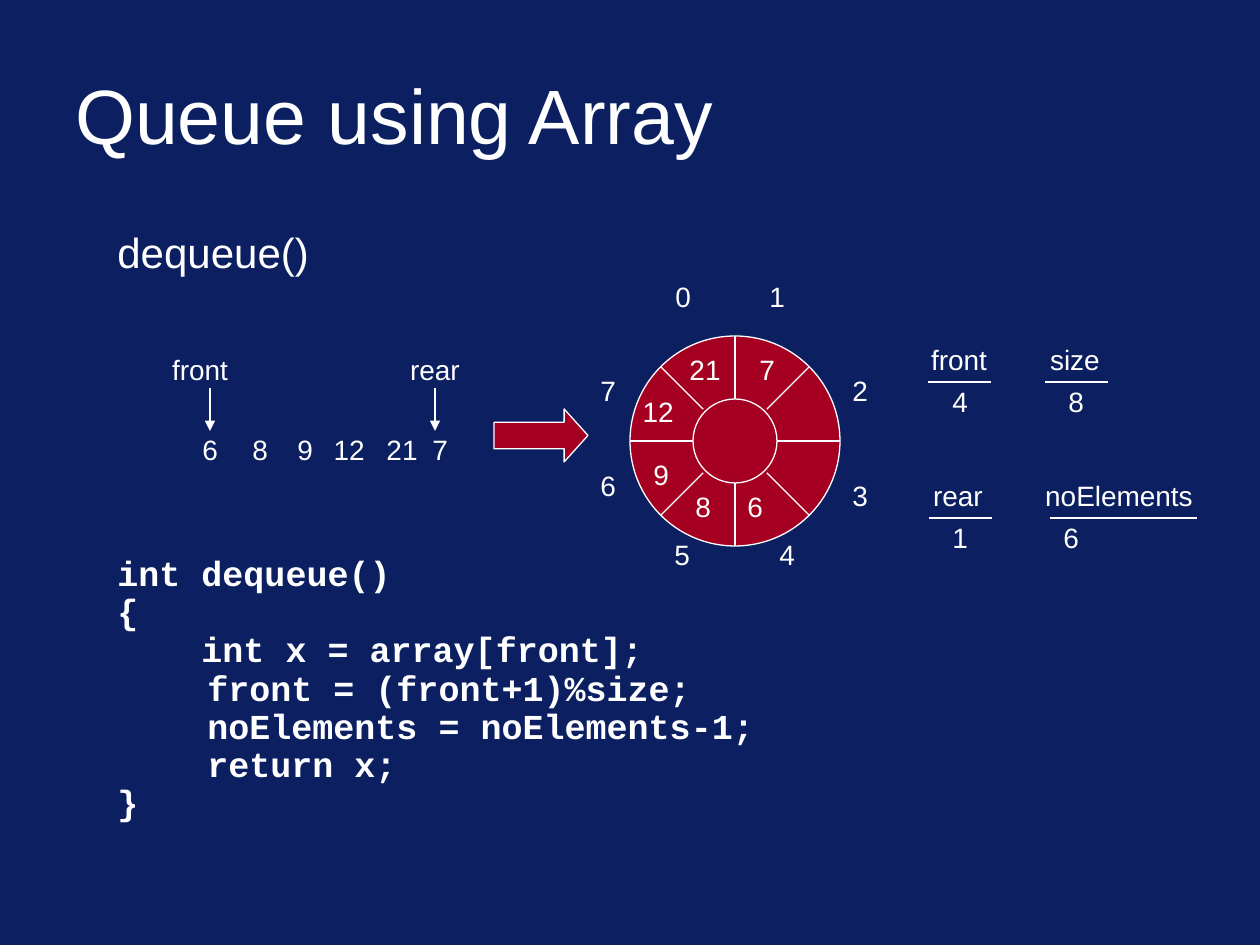
from dataclasses import dataclass
from math import cos, pi, sin

from pptx import Presentation
from pptx.dml.color import RGBColor as RGB
from pptx.enum.shapes import MSO_CONNECTOR as Conn, MSO_SHAPE as Shape
from pptx.enum.text import MSO_ANCHOR as Anchor, MSO_AUTO_SIZE as Auto, PP_ALIGN as Align
from pptx.oxml.ns import qn
from pptx.util import Emu, Inches, Pt
from lxml.etree import SubElement as Sub


@dataclass(frozen=True)
class Theme:
    back: RGB = RGB(0x0B, 0x1F, 0x61)
    ink: RGB = RGB(0xFF, 0xFF, 0xFF)
    fill: RGB = RGB(0xA5, 0x00, 0x21)
    sans: str = "Arial"
    mono: str = "Courier New"
    title: int = 44
    head: int = 24
    code: int = 20
    label: int = 16
    line: float = 0.75


T = Theme()

CODE = """int dequeue()
{
    int x = array[front];
\t  front = (front+1)%size;
\t  noElements = noElements-1;
\t  return x;
}"""

# Each label: text, middle x, top y
QUEUE = [("6", 210), ("8", 260), ("9", 305), ("12", 349), ("21", 402), ("7", 440)]
SLOTS = [("0", 683, 273), ("1", 777, 273), ("2", 860, 367), ("3", 860, 472),
         ("4", 787, 531), ("5", 682, 531), ("6", 608, 462), ("7", 608, 367)]
ITEMS = [("21", 705, 346), ("7", 767, 346), ("12", 658, 388),
         ("9", 661, 451), ("8", 703, 483), ("6", 755, 483)]
# Each variable: name, value, name middle, value middle, top, rule left, rule right
VARS = [("front", "4", 959, 960, 336, 928, 991),
        ("size", "8", 1075, 1076, 336, 1045, 1108),
        ("rear", "1", 958, 960, 472, 929, 992),
        ("noElements", "6", 1119, 1071, 472, 1050, 1197)]
WIDTHS = {"front": 84, "rear": 78, "size": 78, "noElements": 178}


def px(n):
    return Emu(round(n * 914400 / 126))


def style(para, size, face=T.sans, bold=False):
    for run in para.runs:
        font = run.font
        font.size, font.name, font.bold = Pt(size), face, bold
        font.color.rgb = T.ink


def text(slide, words, x, y, w, h, size, wrap=False):
    box = slide.shapes.add_textbox(px(x), px(y), px(w), px(h))
    frame = box.text_frame
    frame.word_wrap = wrap
    frame.auto_size = Auto.NONE if wrap else Auto.SHAPE_TO_FIT_TEXT
    frame.text = words
    style(frame.paragraphs[0], size)
    return frame


def label(slide, words, mid, top):
    wide = WIDTHS.get(words, 24 + 16 * len(words))
    frame = text(slide, words, mid - wide / 2, top, wide, 46, T.label)
    frame.paragraphs[0].alignment = Align.CENTER


def code(slide, words, x, y, w, h):
    frame = text(slide, words, x, y, w, h, T.code, True)
    for i, para in enumerate(frame.paragraphs):
        para.line_spacing = 0.7
        para.space_before = Pt(5 if i else 0)
        props = para._p.get_or_add_pPr()
        props.set("marL", str(Inches(0.38)))
        props.set("indent", str(-Inches(0.38)))
        tabs = Sub(props, qn("a:tabLst"))
        for stop in range(8):
            Sub(tabs, qn("a:tab"), pos=str(Inches(stop)), algn="l")
        style(para, T.code, T.mono, True)


def solid(slide, kind, x, y, w, h):
    shape = slide.shapes.add_shape(kind, px(x), px(y), px(w), px(h))
    shape.shadow.inherit = False
    shape.fill.solid()
    shape.fill.fore_color.rgb = T.fill
    shape.line.color.rgb = T.ink
    shape.line.width = Pt(T.line)
    return shape


def line(slide, x1, y1, x2, y2, arrow=False):
    link = slide.shapes.add_connector(Conn.STRAIGHT, px(x1), px(y1), px(x2), px(y2))
    link.line.color.rgb = T.ink
    link.line.width = Pt(T.line)
    if arrow:
        Sub(link.line._get_or_add_ln(), qn("a:tailEnd"), type="triangle")
    Sub(link._element.spPr, qn("a:effectLst"))


def ring(slide, x, y, outer, inner):
    for r in (outer, inner):
        solid(slide, Shape.OVAL, x - r, y - r, 2 * r, 2 * r)
    for i in range(8):
        dx, dy = cos(i * pi / 4), sin(i * pi / 4)
        near = inner + 3 * (i % 2)  # diagonals stop just short of the hub
        line(slide, x + near * dx, y + near * dy, x + outer * dx, y + outer * dy)


def main():
    deck = Presentation()
    deck.slide_width, deck.slide_height = px(1260), px(945)
    slide = deck.slides.add_slide(deck.slide_layouts[6])
    back = slide.background.fill
    back.solid()
    back.fore_color.rgb = T.back

    # Headings and code
    title = text(slide, "Queue using Array", 63, 51, 1134, 126, T.title, True)
    title.vertical_anchor = Anchor.MIDDLE
    text(slide, "dequeue()", 105, 220, 218, 63, T.head)
    code(slide, CODE, 105, 557, 756, 325)

    # Queue in order, with its two ends
    for words, mid, tip in (("front", 200, 210), ("rear", 435, 435)):
        label(slide, words, mid, 346)
        line(slide, tip, 388, tip, 431, True)
    for words, mid in QUEUE:
        label(slide, words, mid, 426)
    arrow = solid(slide, Shape.RIGHT_ARROW, 494, 409, 94, 53)
    arrow.adjustments[0], arrow.adjustments[1] = 0.5, 0.45

    # Circular array
    ring(slide, 735, 441, 105, 42)
    for words, mid, top in SLOTS + ITEMS:
        label(slide, words, mid, top)

    # Variables
    for name, value, mid, low, top, left, right in VARS:
        label(slide, name, mid, top)
        line(slide, left, top + 46, right, top + 46)
        label(slide, value, low, top + 42)

    deck.save("out.pptx")


if __name__ == "__main__":
    main()
